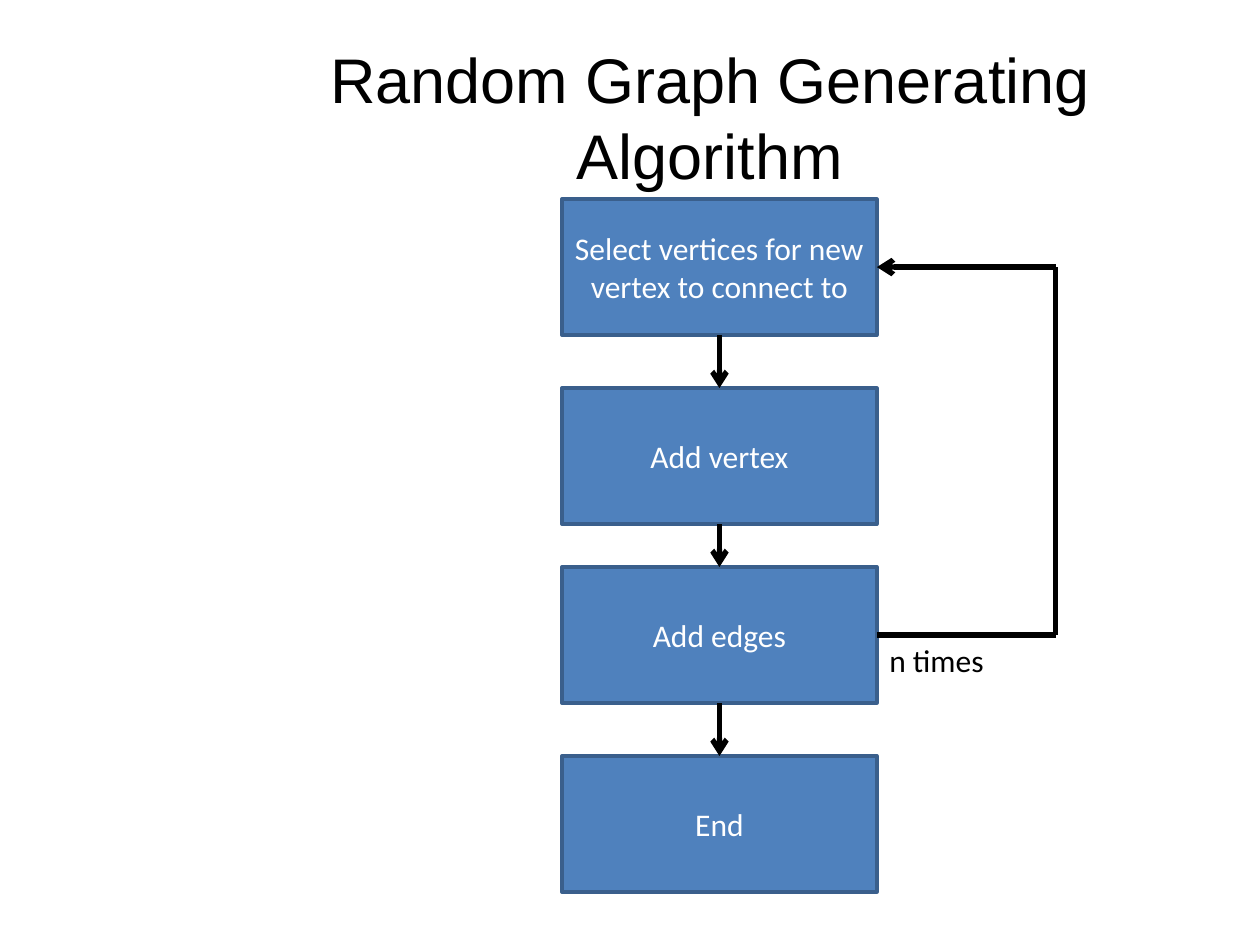
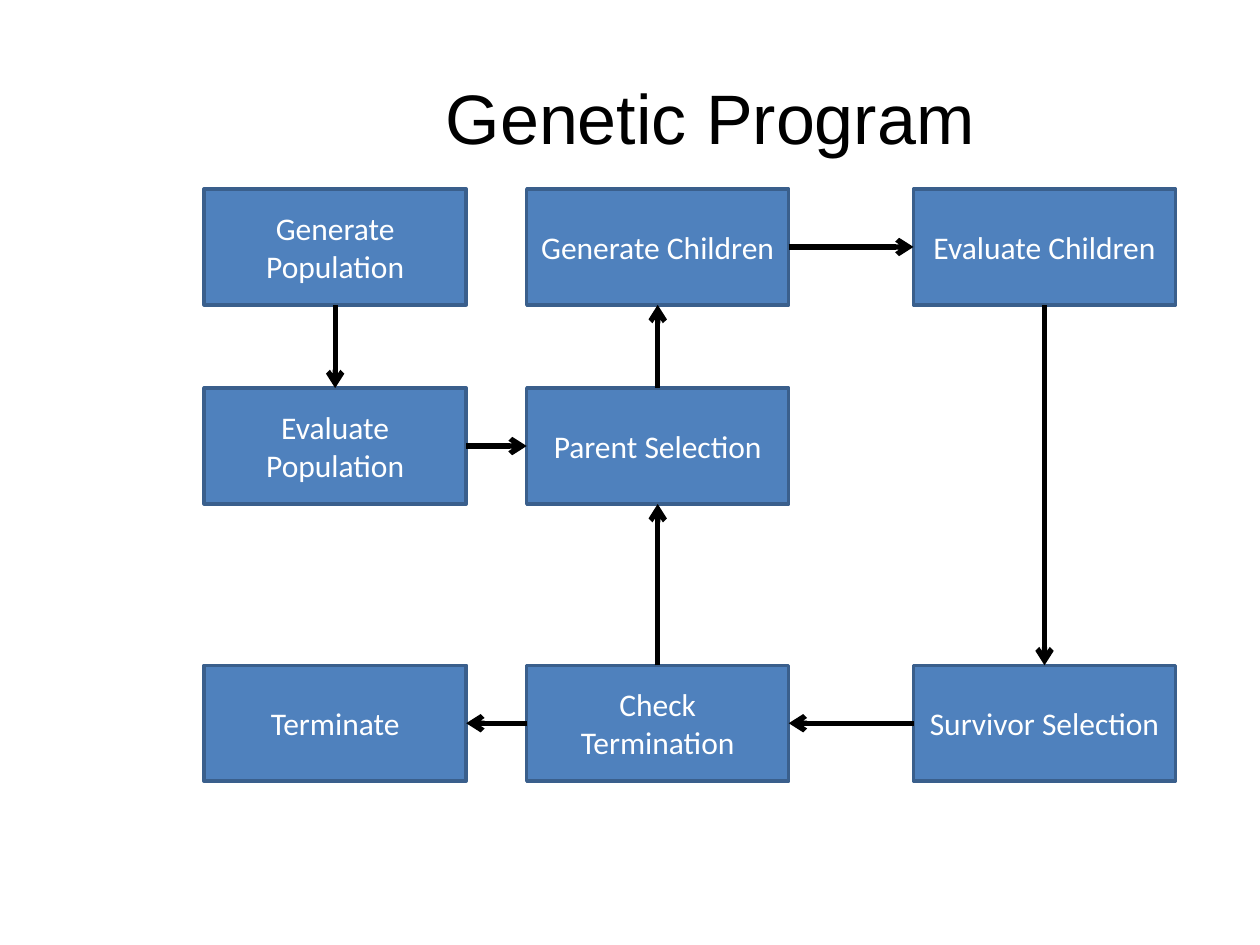
from pptx import Presentation
from pptx.util import Inches, Pt
from pptx.dml.color import RGBColor
from pptx.enum.shapes import MSO_CONNECTOR, MSO_SHAPE
from pptx.enum.text import MSO_ANCHOR, PP_ALIGN
from pptx.oxml.ns import qn
from lxml.etree import SubElement

BLUE = RGBColor(0x4F, 0x81, 0xBD)
EDGE = RGBColor(0x3A, 0x5F, 0x8C)
BLACK = RGBColor(0, 0, 0)
WHITE = RGBColor(255, 255, 255)

# Connection sites of a rectangle
TOP, LEFT, BOTTOM, RIGHT = range(4)


def write(sp, text, size, font, color, align=PP_ALIGN.CENTER, anchor=MSO_ANCHOR.MIDDLE):
    tf = sp.text_frame
    tf.word_wrap = True
    tf.vertical_anchor = anchor
    tf.text = text
    p = tf.paragraphs[0]
    p.alignment = align
    r = p.runs[0]
    r.font.size, r.font.name, r.font.color.rgb = Pt(size), font, color


def connect(s, x1, y1, x2, y2, arrow=True):
    c = s.shapes.add_connector(MSO_CONNECTOR.STRAIGHT, x1, y1, x2, y2)
    c.line.color.rgb = BLACK
    c.line.width = Pt(3)
    if arrow:
        SubElement(c.line._get_or_add_ln(), qn("a:tailEnd"), type="arrow")
    SubElement(c._element.spPr, qn("a:effectLst"))
    return c


prs = Presentation()
prs.slide_width, prs.slide_height = Inches(10), Inches(7.5)

# Grids: left edges of columns, top edges of rows
FLOW_X = 4.46
FLOW_ROWS = [1.58, 3.08, 4.5, 6]
COLS = [1.62, 4.18, 7.25]
ROWS = [1.5, 3.08, 5.28]

# Title, title size, box size, boxes by (left, top), arrows by (box, site, box, site)
flow_steps = ["Select vertices for new vertex to connect to", "Add vertex", "Add edges", "End"]
cycle_grid = [
    ["Generate Population", "Generate Children", "Evaluate Children"],
    ["Evaluate Population", "Parent Selection", None],
    ["Terminate", "Check Termination", "Survivor Selection"],
]
charts = [
    ("Random Graph Generating Algorithm", 36, (2.5, 1.08),
     {step: (FLOW_X, y) for step, y in zip(flow_steps, FLOW_ROWS)},
     [(a, BOTTOM, b, TOP) for a, b in zip(flow_steps, flow_steps[1:])]),
    ("Genetic Program", 40, (2.08, 0.92),
     {name: (x, y) for y, names in zip(ROWS, cycle_grid)
      for x, name in zip(COLS, names) if name},
     [("Generate Population", BOTTOM, "Evaluate Population", TOP),
      ("Evaluate Population", RIGHT, "Parent Selection", LEFT),
      ("Parent Selection", TOP, "Generate Children", BOTTOM),
      ("Generate Children", RIGHT, "Evaluate Children", LEFT),
      ("Evaluate Children", BOTTOM, "Survivor Selection", TOP),
      ("Survivor Selection", LEFT, "Check Termination", RIGHT),
      ("Check Termination", TOP, "Parent Selection", BOTTOM),
      ("Check Termination", LEFT, "Terminate", RIGHT)]),
]

for title, title_size, (w, h), places, arrows in charts:
    s = prs.slides.add_slide(prs.slide_layouts[6])

    # Title
    tb = s.shapes.add_textbox(Inches(1.77), Inches(0.3), Inches(7.73), Inches(1.25))
    write(tb, title, title_size, "Arial", BLACK)

    # Boxes
    boxes = {}
    for name, (x, y) in places.items():
        sp = s.shapes.add_shape(MSO_SHAPE.RECTANGLE, Inches(x), Inches(y), Inches(w), Inches(h))
        sp.shadow.inherit = False
        sp.fill.solid()
        sp.fill.fore_color.rgb = BLUE
        sp.line.color.rgb = EDGE
        sp.line.width = Pt(2)
        write(sp, name, 18, "Calibri", WHITE)
        boxes[name] = sp

    # Arrows, glued to the boxes
    for start, start_site, end, end_site in arrows:
        c = connect(s, 0, 0, 0, 0)
        c.begin_connect(boxes[start], start_site)
        c.end_connect(boxes[end], end_site)

# Loop back from "Add edges" to the first step
s = prs.slides[0]
side, turn = Inches(FLOW_X + 2.5), Inches(8.38)
low, high = Inches(FLOW_ROWS[2] + 0.54), Inches(FLOW_ROWS[0] + 0.54)
connect(s, side, low, turn, low, arrow=False)
connect(s, turn, low, turn, high, arrow=False)
connect(s, turn, high, side, high)
tb = s.shapes.add_textbox(side, low, Inches(2.08), Inches(0.4))
write(tb, "n times", 18, "Calibri", BLACK, PP_ALIGN.LEFT, MSO_ANCHOR.TOP)

prs.save("out.pptx")
